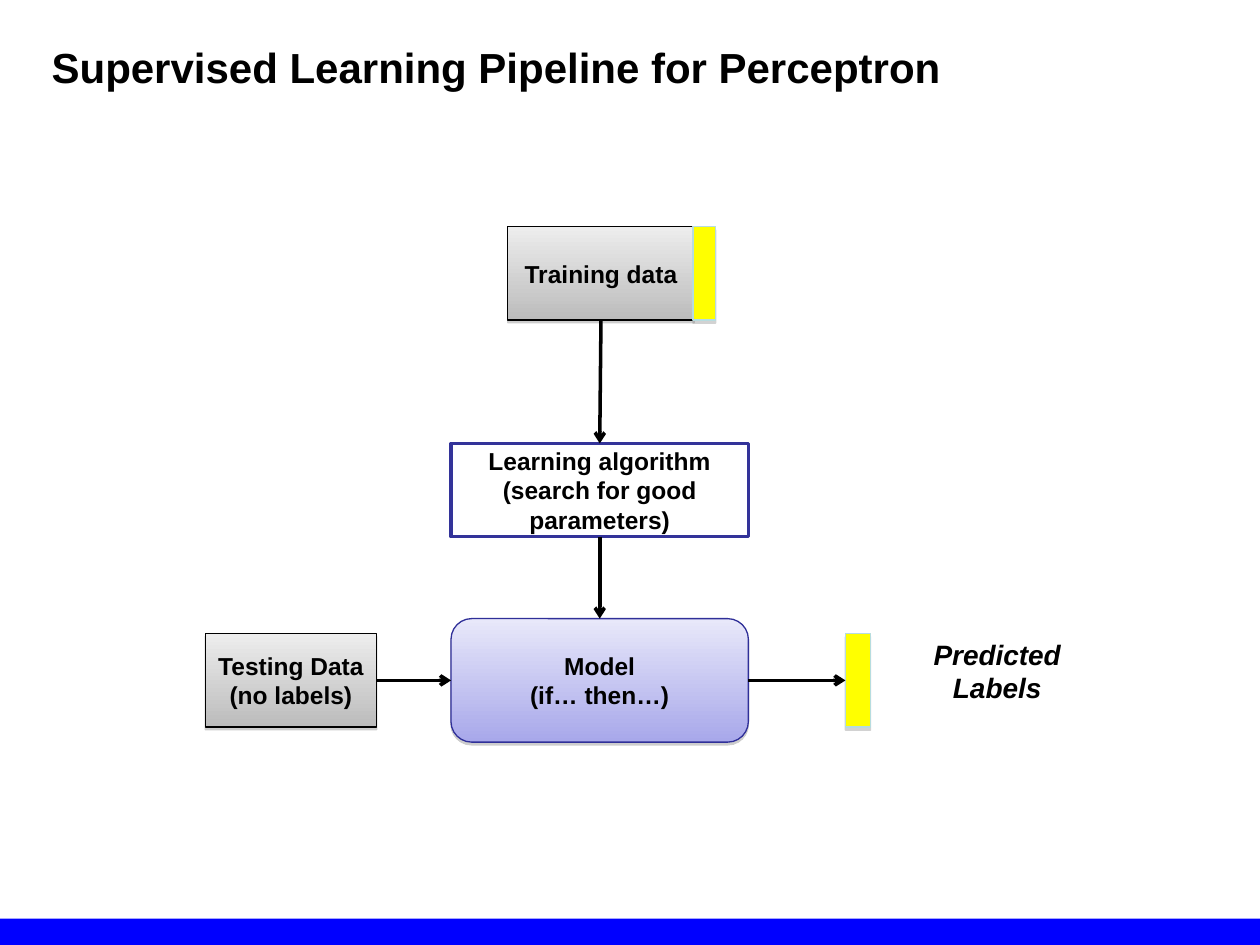
from lxml.etree import SubElement
from pptx import Presentation
from pptx.dml.color import RGBColor
from pptx.enum.shapes import MSO_CONNECTOR, MSO_SHAPE
from pptx.enum.text import MSO_ANCHOR, MSO_AUTO_SIZE, PP_ALIGN
from pptx.oxml.ns import qn
from pptx.util import Inches, Pt

WIDTH, HEIGHT = Inches(10), Inches(7.5)
COLS, ROWS = 100, 75
TOP, LEFT, BOTTOM, RIGHT = range(4)
COLORS = {
    "ink": "000000", "paper": "FFFFFF", "bar": "0000FF",
    "label": "FFFF00", "rim": "B6DCDF", "frame": "333399",
    "edge": "2F2F98", "shade": "808080",
    "lilac": ("E8E8FA", "A8A8EA"), "gray": ("EDEDED", "BCBCBC"),
}


def color(name):
    """Return a named colour."""
    return RGBColor.from_string(COLORS[name])


def place(col, row, wide, high):
    """Turn grid columns and rows into slide lengths."""
    return (round(col * WIDTH / COLS), round(row * HEIGHT / ROWS),
            round(wide * WIDTH / COLS), round(high * HEIGHT / ROWS))


def write(frame, lines, size, align=PP_ALIGN.CENTER, italic=None):
    """Fill a text frame with bold lines."""
    frame.text = "\n".join(lines)
    for para in frame.paragraphs:
        para.alignment = align
        font = para.font
        font.name, font.size = "Arial", Pt(size)
        font.bold, font.italic = True, italic
        font.color.rgb = color("ink")


def paint(shape, name):
    """Fill a shape with a flat colour or a downward gradient."""
    fill, value = shape.fill, COLORS[name]
    if isinstance(value, str):
        fill.solid()
        fill.fore_color.rgb = color(name)
        return
    fill.gradient()
    fill.gradient_angle = 270
    for stop, tint in zip(fill.gradient_stops, value):
        stop.color.rgb = RGBColor.from_string(tint)


def shadow(shape, drop, alpha):
    """Drop a soft grey shadow straight down."""
    effects = shape._element.spPr.find(qn("a:effectLst"))
    outer = SubElement(effects, qn("a:outerShdw"), dist=str(Pt(drop)),
                       dir="5400000", rotWithShape="0")
    tint = SubElement(outer, qn("a:srgbClr"), val=COLORS["shade"])
    SubElement(tint, qn("a:alpha"), val=str(alpha * 1000))


def box(slide, spot, fill, line=None, lines=(), weight=0.75,
        kind=MSO_SHAPE.RECTANGLE):
    """Add a filled box with optional outline and centred text."""
    shape = slide.shapes.add_shape(kind, *place(*spot))
    shape.shadow.inherit = False
    paint(shape, fill)
    if line:
        shape.line.color.rgb = color(line)
        shape.line.width = Pt(weight)
    else:
        shape.line.fill.background()
    if lines:
        frame = shape.text_frame
        frame.word_wrap = True
        frame.vertical_anchor = MSO_ANCHOR.MIDDLE
        write(frame, lines, 14)
    return shape


def strip(slide, col, row, wide):
    """Add a yellow label column."""
    shape = box(slide, (col, row, wide, 7.4), "label", "rim")
    shadow(shape, 1.8, 35)
    return shape


def arrow(slide, start, side, end, goal):
    """Join two boxes with an arrow."""
    link = slide.shapes.add_connector(MSO_CONNECTOR.STRAIGHT, 0, 0, 0, 0)
    link.begin_connect(start, side)
    link.end_connect(end, goal)
    link.line.color.rgb = color("ink")
    link.line.width = Pt(2)
    SubElement(link.line._get_or_add_ln(), qn("a:tailEnd"), type="arrow")
    SubElement(link._element.spPr, qn("a:effectLst"))


def head(slide, text):
    """Place the slide title."""
    title = slide.shapes.title
    title.left, title.top, title.width, title.height = place(3.1, 2.8, 72.6, 5)
    frame = title.text_frame
    write(frame, [text], 24, PP_ALIGN.LEFT)
    frame.word_wrap = False
    frame.auto_size = MSO_AUTO_SIZE.NONE
    frame.vertical_anchor = MSO_ANCHOR.TOP


def note(slide, spot, text):
    """Add an italic caption."""
    frame = slide.shapes.add_textbox(*place(*spot)).text_frame
    frame.word_wrap = False
    write(frame, [text], 16, italic=True)


def main():
    """Build the pipeline slide."""
    deck = Presentation()
    deck.slide_width, deck.slide_height = WIDTH, HEIGHT
    slide = deck.slides.add_slide(deck.slide_layouts[5])
    head(slide, "Supervised Learning Pipeline for Perceptron")
    box(slide, (0, 72.9, COLS, 2.1), "bar")

    model = box(slide, (35.8, 49.1, 23.6, 9.8), "lilac", "edge",
                ["Model", "(if… then…)"], kind=MSO_SHAPE.ROUNDED_RECTANGLE)
    test = box(slide, (16.3, 50.3, 13.6, 7.4), "gray", "ink",
               ["Testing Data", "(no labels)"])
    train = box(slide, (40.3, 18, 14.8, 7.4), "gray", "ink",
                ["Training data"])
    for shape in (model, test, train):
        shadow(shape, 1.6, 38)
    strip(slide, 55, 18, 1.8)
    output = strip(slide, 67.1, 50.3, 2)
    learn = box(slide, (35.8, 35.2, 23.6, 7.4), "paper", "frame",
                ["Learning algorithm", "(search for good parameters)"], 2)
    note(slide, (69.3, 50.1, 19.7, 3.7), "Predicted Labels")

    arrow(slide, train, BOTTOM, learn, TOP)
    arrow(slide, learn, BOTTOM, model, TOP)
    arrow(slide, test, RIGHT, model, LEFT)
    arrow(slide, model, RIGHT, output, LEFT)
    deck.save("out.pptx")


if __name__ == "__main__":
    main()
